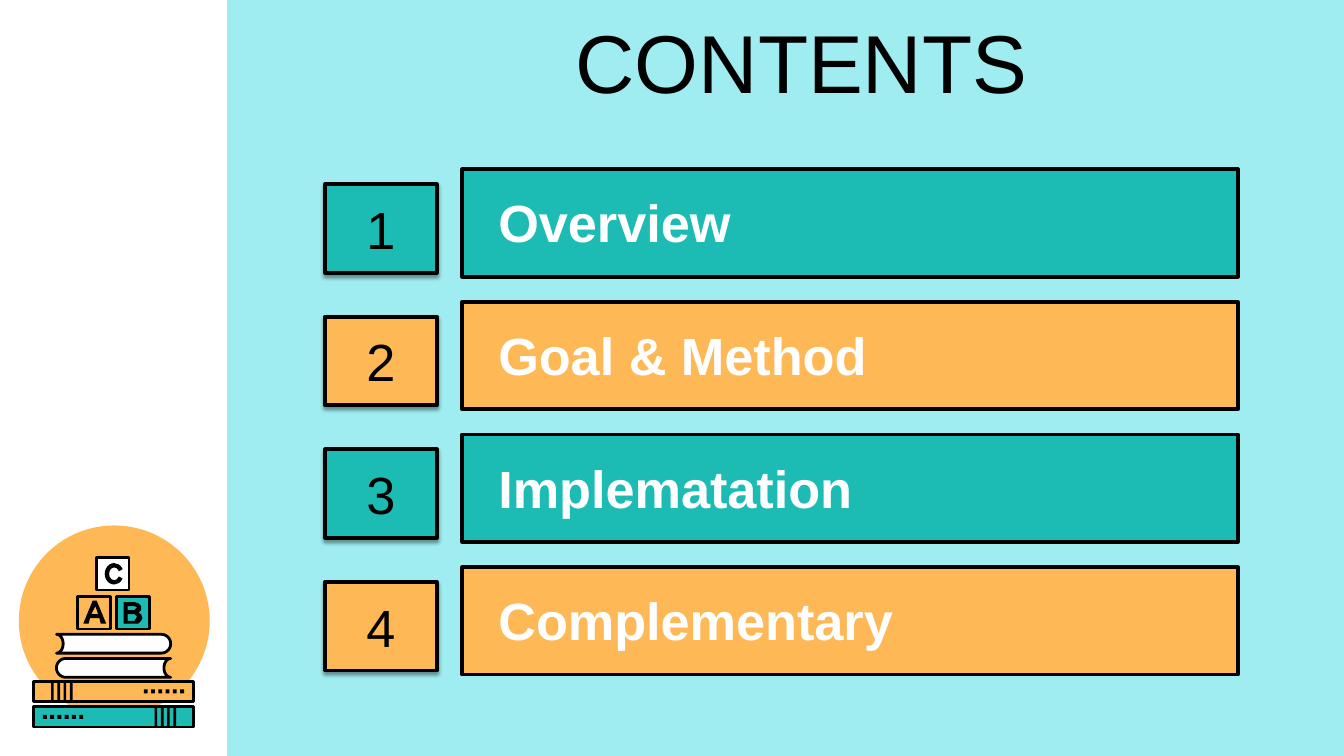
from dataclasses import dataclass
from math import cos, pi, sin

from lxml.etree import SubElement
from pptx import Presentation
from pptx.dml.color import RGBColor
from pptx.enum.shapes import MSO_SHAPE
from pptx.enum.text import MSO_ANCHOR, PP_ALIGN
from pptx.oxml.ns import qn
from pptx.util import Inches, Pt


@dataclass(frozen=True)
class Theme:
    aqua: str = "9FEDF0"
    teal: str = "1CBBB4"
    amber: str = "FEB856"
    black: str = "000000"
    white: str = "FFFFFF"
    font: str = "Arial"
    title: int = 44
    item: int = 28


THEME = Theme()
WIDTH, HEIGHT = 10, 10 * 9 / 16
SIDE = 1.69  # width of the white side strip
ITEMS = ["Overview", "Goal & Method", "Implematation", "Complementary"]
TOP, STEP = 1.26, (4.22 - 1.26) / 3

# Letter outlines, each followed by its holes
LETTER_A = [
    [(0.69, 4.47), (0.72, 4.47), (0.79, 4.64), (0.75, 4.64),
     (0.74, 4.6), (0.67, 4.6), (0.66, 4.64), (0.62, 4.64)],
    [(0.71, 4.51), (0.68, 4.57), (0.73, 4.57)],
]
LETTER_B = [
    [(0.92, 4.48), (1, 4.48), (1.03, 4.49), (1.05, 4.51), (1.05, 4.54),
     (1.03, 4.56), (1.05, 4.57), (1.06, 4.6), (1.05, 4.62), (1.03, 4.64),
     (0.92, 4.64)],
    [(0.95, 4.51), (0.95, 4.54), (1, 4.54), (1.02, 4.52), (1, 4.51)],
    [(0.95, 4.57), (0.95, 4.62), (1, 4.62), (1.02, 4.59), (1, 4.57)],
]


def paint(shape, fill, line=None):
    shape.shadow.inherit = False
    shape.fill.solid()
    shape.fill.fore_color.rgb = RGBColor.from_string(fill)
    if line:
        shape.line.color.rgb = RGBColor.from_string(THEME.black)
        shape.line.width = Pt(line)
    else:
        shape.line.fill.background()
    return shape


def add_box(slide, x, y, w, h, fill, line=None, kind=MSO_SHAPE.RECTANGLE):
    shape = slide.shapes.add_shape(kind, Inches(x), Inches(y), Inches(w), Inches(h))
    return paint(shape, fill, line)


def add_form(slide, rings, fill, line=None):
    """Closed outline made of one or more rings of points."""
    rings = [[(Inches(x), Inches(y)) for x, y in ring] for ring in rings]
    pen = slide.shapes.build_freeform(*rings[0][0])
    for index, ring in enumerate(rings):
        if index:
            pen.move_to(*ring[0])
        pen.add_line_segments(ring[1:], close=True)
    return paint(pen.convert_to_shape(), fill, line)


def write(shape, text, size, color, align=PP_ALIGN.CENTER, bold=False):
    frame = shape.text_frame
    frame.text = text
    para = frame.paragraphs[0]
    para.alignment = align
    font = para.runs[0].font
    font.name, font.size, font.bold = THEME.font, Pt(size), bold
    font.color.rgb = RGBColor.from_string(color)
    return frame


def add_shade(shape):
    """Soft shadow just below the shape."""
    effects = shape.element.spPr.find(qn("a:effectLst"))
    shade = SubElement(effects, qn("a:outerShdw"), blurRad=str(Pt(2)),
                       dist=str(Pt(1.5)), dir="5400000", rotWithShape="0")
    color = SubElement(shade, qn("a:srgbClr"), val=THEME.black)
    SubElement(color, qn("a:alpha"), val="40000")


def add_title(slide):
    title = slide.shapes.title
    title.left, title.top = Inches(1.93), Inches(0.03)
    title.width, title.height = Inches(8.07), Inches(0.85)
    frame = write(title, "CONTENTS", THEME.title, THEME.black)
    frame.vertical_anchor = MSO_ANCHOR.MIDDLE


def add_spine(slide, y, fill, flip=False):
    """Closed book with four stripes and a dotted label."""
    def mark(x, top, w, h):
        left = SIDE - x - w if flip else x
        add_box(slide, left, top, w, h, THEME.black)

    add_box(slide, 0.25, y, 1.19, 0.15, fill, 1.5)
    for i in range(4):
        mark(0.38 + 0.14 / 3 * i, y, 0.02, 0.15)
    for i in range(6):
        mark(1.07 + 0.27 / 5 * i, y + 0.06, 0.03, 0.03)


def add_pages(slide, y, flip=False):
    """White book with a round back and a hollow page edge."""
    half = 0.07
    turns = [pi * i / 16 - pi / 2 for i in range(17)]
    back = [(1.2 + half * cos(t), y + half + half * sin(t)) for t in turns]
    edge = [(0.42 + 0.05 * cos(t), y + half - half * sin(t)) for t in turns]
    ring = [(SIDE - px if flip else px, py) for px, py in back + edge]
    add_form(slide, [ring], THEME.white, 1.5)


def add_badge(slide):
    """Books and letter blocks on a disc."""
    add_box(slide, 0.14, 3.91, 1.42, 1.42, THEME.amber, kind=MSO_SHAPE.OVAL)
    add_spine(slide, 5.07, THEME.amber)
    add_spine(slide, 5.26, THEME.teal, flip=True)

    # Letter blocks
    add_box(slide, 0.58, 4.44, 0.24, 0.24, THEME.amber, 1.5)
    add_form(slide, LETTER_A, THEME.black)
    add_box(slide, 0.87, 4.44, 0.24, 0.24, THEME.teal, 1.5)
    add_form(slide, LETTER_B, THEME.black)
    add_box(slide, 0.72, 4.15, 0.24, 0.24, THEME.white, 1.5)
    arc = add_box(slide, 0.78, 4.19, 0.14, 0.16, THEME.black,
                  kind=MSO_SHAPE.BLOCK_ARC)
    for index, value in enumerate((17.57, 198.9, 0.23)):
        arc.adjustments[index] = value

    add_pages(slide, 4.72)
    add_pages(slide, 4.9, flip=True)


def add_item(slide, index, text):
    y = TOP + STEP * index
    fill = (THEME.teal, THEME.amber)[index % 2]

    # Number
    number = add_box(slide, 2.42, y + 0.11, 0.83, 0.66, fill, 2)
    add_shade(number)
    frame = write(number, str(index + 1), THEME.item, THEME.black)
    frame.word_wrap = False
    frame.vertical_anchor = MSO_ANCHOR.MIDDLE

    # Bar and label
    add_box(slide, 3.44, y, 5.77, 0.8, fill, 2)
    label = slide.shapes.add_textbox(Inches(3.61), Inches(y + 0.11),
                                     Inches(5.2), Inches(0.57))
    frame = write(label, text, THEME.item, THEME.white, PP_ALIGN.LEFT, True)
    frame.word_wrap = True


def main():
    deck = Presentation()
    deck.slide_width, deck.slide_height = Inches(WIDTH), Inches(HEIGHT)
    slide = deck.slides.add_slide(deck.slide_layouts[5])

    # Backdrop, placed behind the title
    panel = add_box(slide, SIDE, 0, WIDTH - SIDE, HEIGHT, THEME.aqua)
    slide.shapes.title.element.addprevious(panel.element)

    add_title(slide)
    add_badge(slide)
    for index, text in enumerate(ITEMS):
        add_item(slide, index, text)

    deck.save("out.pptx")


if __name__ == "__main__":
    main()
